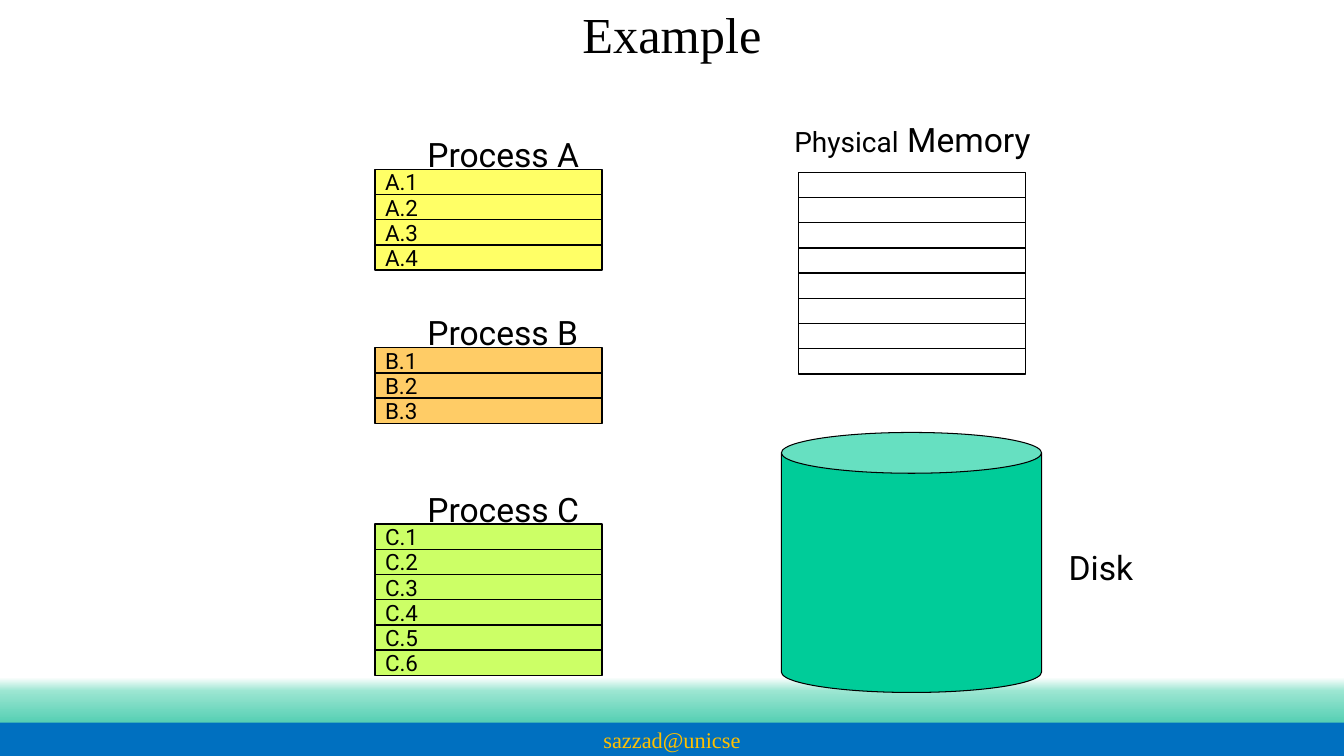
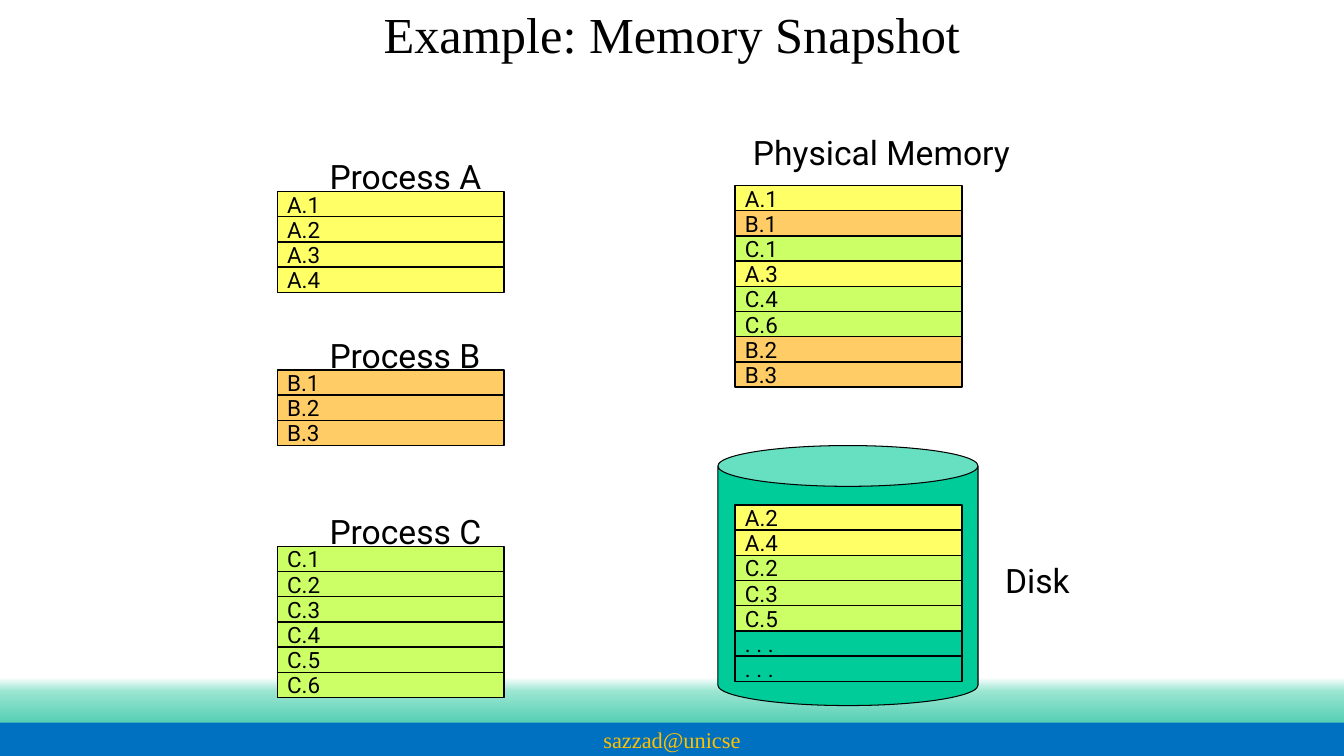
"""Build two slides on how process pages map to physical memory and disk."""
from copy import deepcopy

from pptx import Presentation
from pptx.dml.color import RGBColor
from pptx.enum.shapes import MSO_SHAPE
from pptx.enum.text import MSO_ANCHOR, PP_ALIGN
from pptx.oxml.ns import qn
from pptx.util import Inches, Pt

COLORS = {
    "black": "000000", "footer": "0070C0", "footer_text": "FFC000", "disk": "00CC99",
    "A": "FFFF66", "B": "FFCC66", "C": "CCFF66",
}
GLOW = [(0, "FFFFFF"), (0.3, "9CE6D2"), (1, "55CFB3")]
SERIF, SANS = "Times New Roman", "Roboto"
FOOTER = "sazzad@unicse"
PAGE_WIDTH, PAGE_HEIGHT = 2.25, 0.25
DISK_SIZE = 2.58

PROCESSES = [("A", 4, 0), ("B", 3, 1.77), ("C", 6, 3.52)]
SLIDES = [
    {
        "title": "Example",
        "processes_at": (3.72, 1.68),
        "memory_at": (7.92, 1.71),
        "memory_label": [("Physical", 20), (" Memory", 24)],
        "label_shift": -0.14,
        "memory": [""] * 8,
        "disk": [],
    },
    {
        "title": "Example: Memory Snapshot",
        "processes_at": (2.75, 1.9),
        "memory_at": (7.29, 1.84),
        "memory_label": [("Physical Memory", 24)],
        "label_shift": 0.08,
        "memory": ["A.1", "B.1", "C.1", "A.3", "C.4", "C.6", "B.2", "B.3"],
        "disk": ["A.2", "A.4", "C.2", "C.3", "C.5", ". . .", ". . ."],
    },
]


def rgb(name):
    return RGBColor.from_string(COLORS[name])


def write(shape, runs, font=SANS, color="black", align=PP_ALIGN.LEFT, anchor=MSO_ANCHOR.MIDDLE):
    frame = shape.text_frame
    frame.word_wrap = True
    frame.vertical_anchor = anchor
    paragraph = frame.paragraphs[0]
    paragraph.alignment = align
    for text, size in runs:
        run = paragraph.add_run()
        run.text = text
        run.font.size = Pt(size)
        run.font.name = font
        run.font.color.rgb = rgb(color)


def add_box(slide, left, top, width, height, kind=MSO_SHAPE.RECTANGLE, fill=None, line=None):
    box = slide.shapes.add_shape(kind, Inches(left), Inches(top), Inches(width), Inches(height))
    box.shadow.inherit = False
    if fill:
        box.fill.solid()
        box.fill.fore_color.rgb = rgb(fill)
    else:
        box.fill.background()
    if line:
        box.line.color.rgb = rgb("black")
        box.line.width = Pt(line)
    else:
        box.line.fill.background()
    return box


def add_label(slide, left, top, runs, width=2.8, height=0.5, **text_format):
    label = slide.shapes.add_textbox(Inches(left), Inches(top), Inches(width), Inches(height))
    write(label, runs, **text_format)


def add_pages(slide, left, top, pages):
    for index, page in enumerate(pages):
        owner = page[:1] if page[:1] in ("A", "B", "C") else None
        row = add_box(slide, left, top + index * PAGE_HEIGHT, PAGE_WIDTH, PAGE_HEIGHT,
                      fill=owner, line=1)
        if page:
            write(row, [(page, 16)])


def add_frame(slide, title):
    glow = add_box(slide, 0, 6.72, 13.33, 0.45)
    glow.fill.gradient()
    glow.fill.gradient_angle = 270
    stop_list = glow.fill.gradient_stops
    stops = glow._element.spPr.find(qn("a:gradFill")).find(qn("a:gsLst"))
    stops.insert(1, deepcopy(stops[0]))
    stop_list = glow.fill.gradient_stops
    for stop, (position, color) in zip(stop_list, GLOW):
        stop.position = position
        stop.color.rgb = RGBColor.from_string(color)
    footer = add_box(slide, 0, 7.17, 13.33, 0.33, fill="footer")
    write(footer, [(FOOTER, 16)], font=SERIF, color="footer_text", align=PP_ALIGN.CENTER)
    add_label(slide, 2.25, 0, [(title, 36)], width=8.83, height=0.67,
              font=SERIF, align=PP_ALIGN.CENTER)


def add_processes(slide, left, top):
    for name, count, offset in PROCESSES:
        pages = [f"{name}.{number}" for number in range(1, count + 1)]
        add_pages(slide, left, top + offset, pages)
        add_label(slide, left + 0.42, top + offset - 0.4, [(f"Process {name}", 24)],
                  anchor=MSO_ANCHOR.TOP)


def add_storage(slide, content):
    left, top = content["memory_at"]
    disk = add_box(slide, left - 0.17, top + 2.58, DISK_SIZE, DISK_SIZE,
                   kind=MSO_SHAPE.CAN, fill="disk", line=0.75)
    disk.adjustments[0] = 0.157
    add_label(slide, left + 2.58, top + 3.67, [("Disk", 24)], width=1, anchor=MSO_ANCHOR.TOP)
    add_label(slide, left + content["label_shift"], top - 0.58, content["memory_label"],
              anchor=MSO_ANCHOR.TOP)
    add_pages(slide, left, top, content["memory"])
    add_pages(slide, left, top + 3.17, content["disk"])


def main():
    deck = Presentation()
    deck.slide_width, deck.slide_height = Inches(13.33), Inches(7.5)
    for content in SLIDES:
        slide = deck.slides.add_slide(deck.slide_layouts[6])
        add_frame(slide, content["title"])
        add_storage(slide, content)
        add_processes(slide, *content["processes_at"])
    deck.save("out.pptx")


if __name__ == "__main__":
    main()
